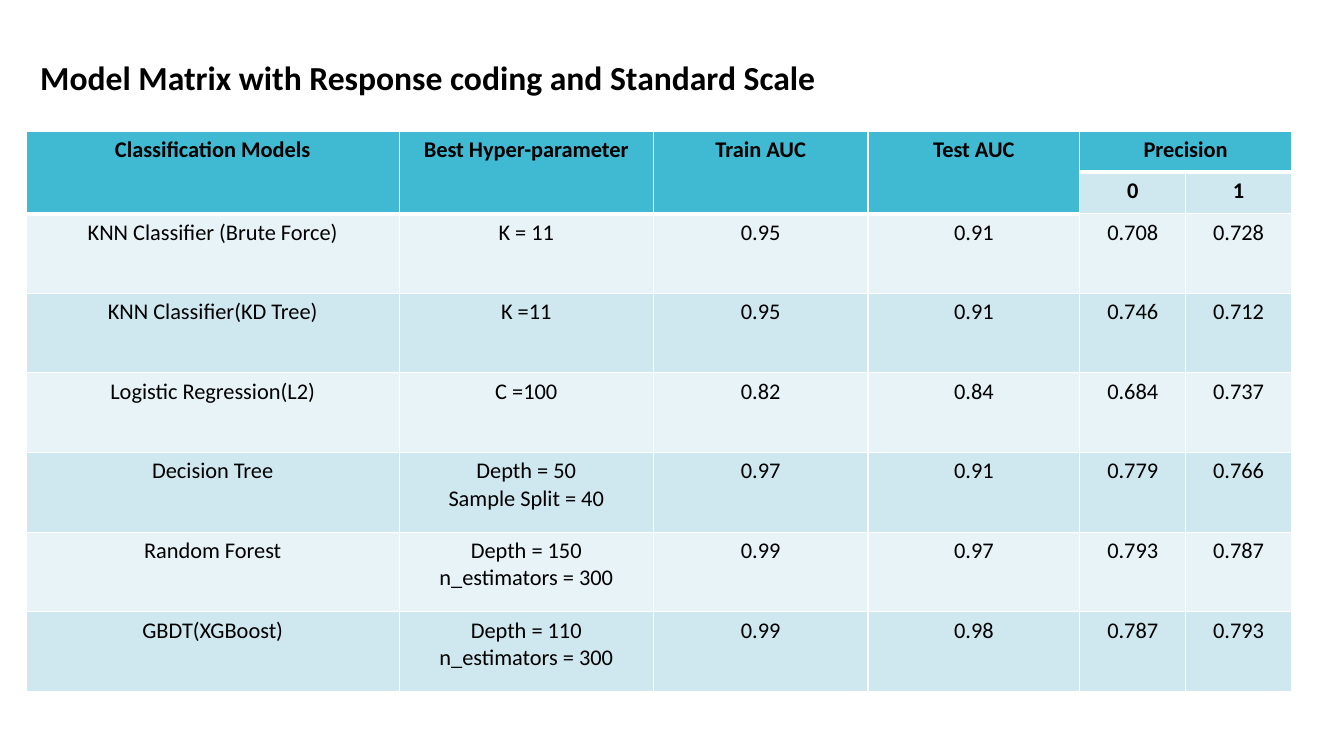
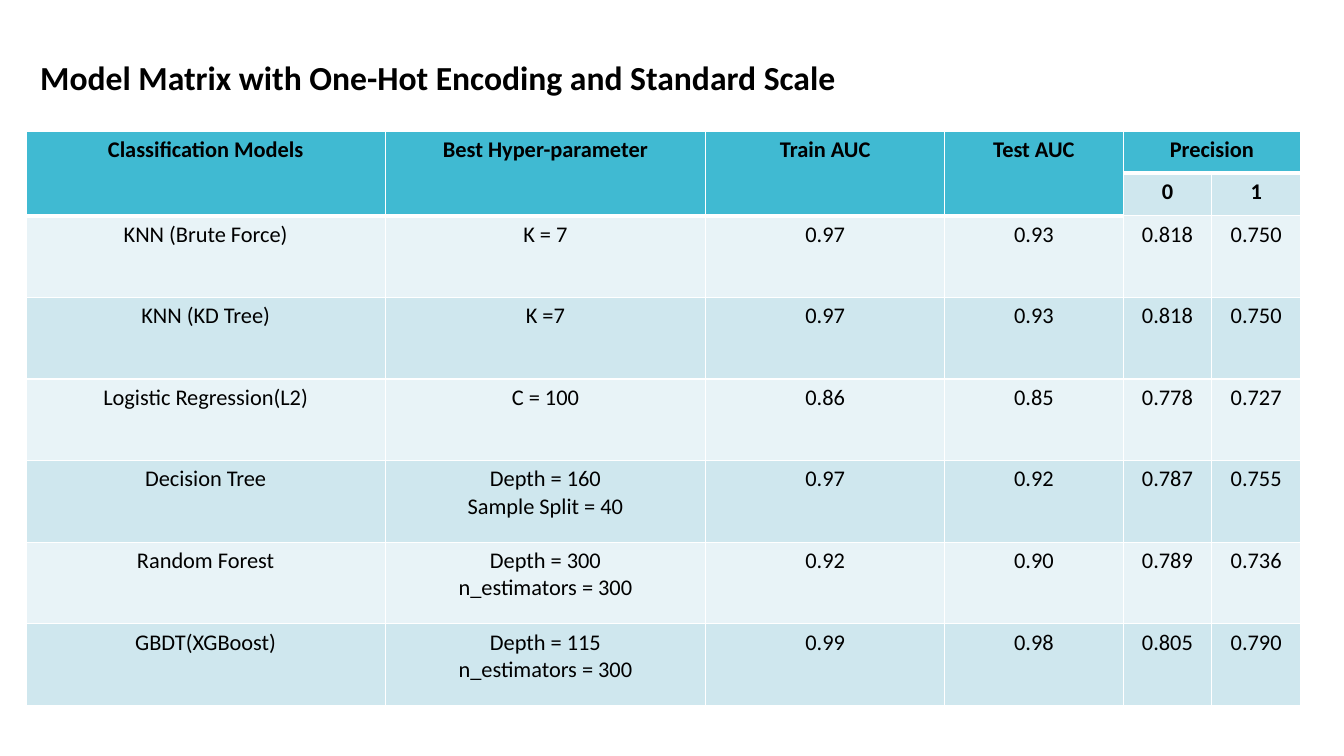
from dataclasses import dataclass

from lxml import etree
from pptx import Presentation, util as u
from pptx.dml.color import RGBColor
from pptx.enum import text
from pptx.oxml import ns

PX = 9144  # EMU per px, 100 px to the inch
FONT = "Calibri"
BLACK = RGBColor(0x00, 0x00, 0x00)
WHITE = RGBColor(0xFF, 0xFF, 0xFF)
TEAL = RGBColor(0x40, 0xBA, 0xD2)
BLUE = RGBColor(0xCF, 0xE7, 0xEE)
PALE = RGBColor(0xE8, 0xF3, 0xF7)

LEFT, TOP = 26, 130
HEADS = 2  # header rows
TALL = 4  # columns whose heading spans both header rows
TITLES = [
    ("Classification Models", "Best Hyper-parameter", "Train AUC", "Test AUC", "Precision", ""),
    ("", "", "", "", "0", "1"),
]


@dataclass
class Page:
    title: str
    width: int
    cols: list[int]
    head: int
    body: int
    rows: list[tuple[str, ...]]


PAGES = [
    Page(
        "Model Matrix with Response coding and Standard Scale",
        1111, [370, 252, 213, 210, 105, 105], 41, 79,
        [
            ("KNN Classifier (Brute Force)", "K = 11", "0.95", "0.91", "0.708", "0.728"),
            ("KNN Classifier(KD Tree)", "K =11", "0.95", "0.91", "0.746", "0.712"),
            ("Logistic Regression(L2)", "C =100", "0.82", "0.84", "0.684", "0.737"),
            ("Decision Tree", "Depth = 50\nSample Split = 40", "0.97", "0.91", "0.779", "0.766"),
            ("Random Forest", "Depth = 150\nn_estimators = 300", "0.99", "0.97", "0.793", "0.787"),
            ("GBDT(XGBoost)", "Depth = 110\nn_estimators = 300", "0.99", "0.98", "0.787", "0.793"),
        ],
    ),
    Page(
        "Model Matrix with One-Hot Encoding and Standard Scale",
        1065, [356, 318, 237, 177, 88, 88], 42, 81,
        [
            ("KNN (Brute Force)", "K = 7", "0.97", "0.93", "0.818", "0.750"),
            ("KNN (KD Tree)", "K =7", "0.97", "0.93", "0.818", "0.750"),
            ("Logistic Regression(L2)", "C = 100", "0.86", "0.85", "0.778", "0.727"),
            ("Decision Tree", "Depth = 160\nSample Split = 40", "0.97", "0.92", "0.787", "0.755"),
            ("Random Forest", "Depth = 300\nn_estimators = 300", "0.92", "0.90", "0.789", "0.736"),
            ("GBDT(XGBoost)", "Depth = 115\nn_estimators = 300", "0.99", "0.98", "0.805", "0.790"),
        ],
    ),
]


def style(frame, size: int, bold: bool, align=None) -> None:
    for para in frame.paragraphs:
        para.alignment = align
        for run in para.runs:
            font = run.font
            font.name, font.size, font.bold = FONT, u.Pt(size), bold
            font.color.rgb = BLACK


def is_head(row: int, col: int) -> bool:
    """Tell whether a cell belongs to the teal heading."""
    return row == 0 or (row < HEADS and col < TALL)


def edge(cell, top: int, base: int) -> None:
    """Give a cell white borders, with the top and base widths in points."""
    props = cell._tc.get_or_add_tcPr()
    for tag, width in (("lnL", 1), ("lnR", 1), ("lnT", top), ("lnB", base)):
        line = etree.SubElement(props, ns.qn(f"a:{tag}"), w=str(u.Pt(width)))
        fill = etree.SubElement(line, ns.qn("a:solidFill"))
        etree.SubElement(fill, ns.qn("a:srgbClr"), val=str(WHITE))


def add_title(slide, page: Page) -> None:
    box = slide.shapes.add_textbox(30 * PX, 52 * PX, page.width * PX, 50 * PX)
    frame = box.text_frame
    frame.word_wrap = True
    frame.auto_size = text.MSO_AUTO_SIZE.SHAPE_TO_FIT_TEXT
    frame.text = page.title
    style(frame, 24, True)


def add_grid(slide, page: Page) -> None:
    rows = TITLES + page.rows
    highs = [page.head] * HEADS + [page.body] * len(page.rows)
    grid = slide.shapes.add_table(
        len(rows), len(page.cols), LEFT * PX, TOP * PX,
        sum(page.cols) * PX, sum(highs) * PX,
    ).table
    grid.first_row = grid.horz_banding = False
    for col, wide in zip(grid.columns, page.cols):
        col.width = wide * PX
    for row, high in zip(grid.rows, highs):
        row.height = high * PX

    for r, words in enumerate(rows):
        for c, word in enumerate(words):
            cell = grid.cell(r, c)
            head = is_head(r, c)
            under = r > 0 and is_head(r - 1, c) and not head
            edge(cell, 3 if under else 1, 3 if head else 1)
            cell.fill.solid()
            cell.fill.fore_color.rgb = TEAL if head else BLUE if r % 2 else PALE
            cell.text_frame.text = word
            style(cell.text_frame, 16, r < HEADS, text.PP_ALIGN.CENTER)

    for c in range(TALL):
        grid.cell(0, c).merge(grid.cell(HEADS - 1, c))
    grid.cell(0, TALL).merge(grid.cell(0, len(page.cols) - 1))


def main() -> None:
    deck = Presentation()
    deck.slide_width, deck.slide_height = 1333 * PX, 750 * PX
    for page in PAGES:
        slide = deck.slides.add_slide(deck.slide_layouts[6])
        add_grid(slide, page)
        add_title(slide, page)
    deck.save("out.pptx")


if __name__ == "__main__":
    main()
